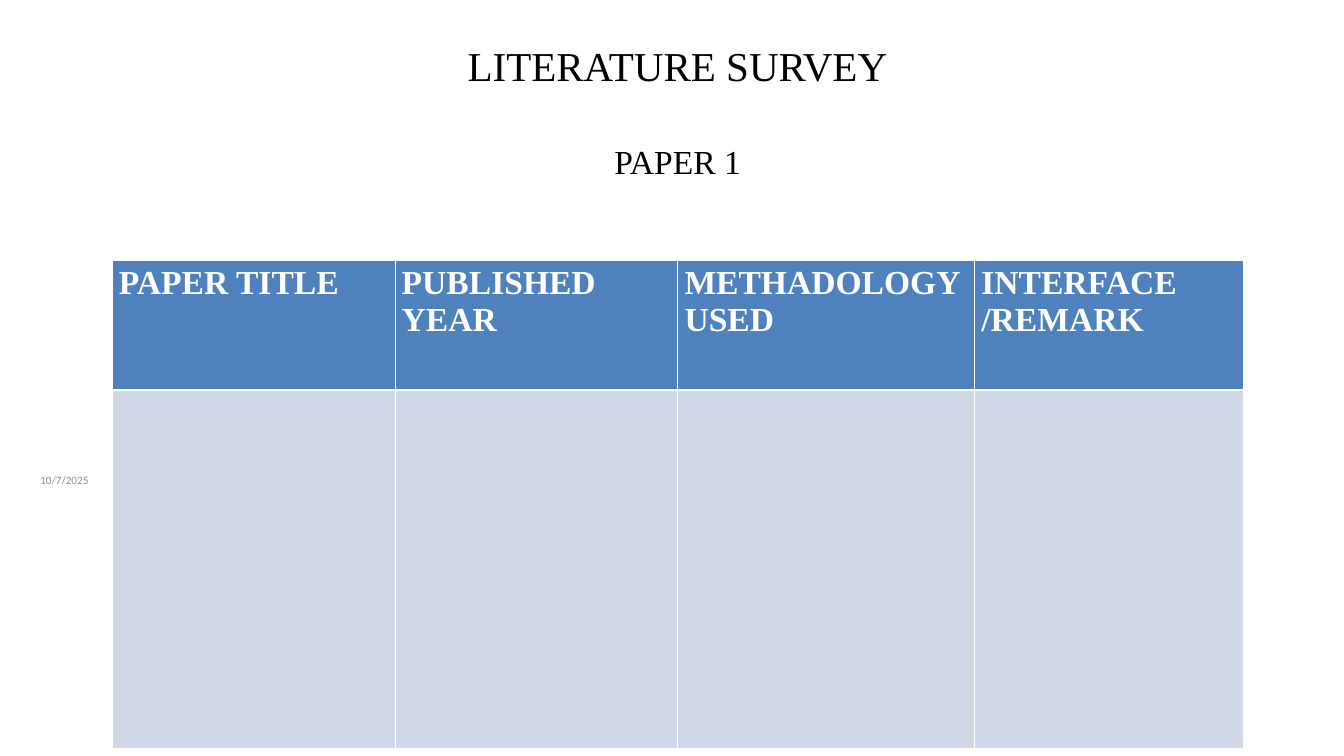
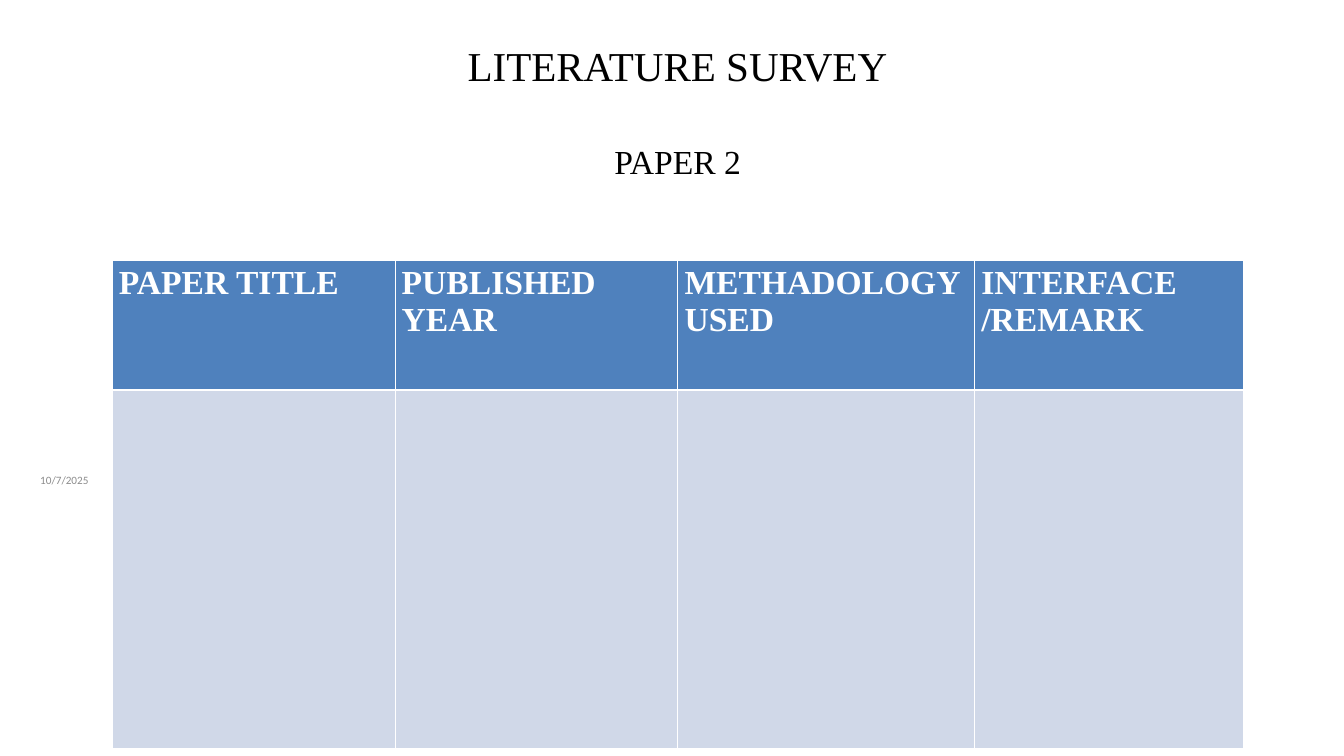
import pptx
import pptx.dml.color
import pptx.enum.text
import pptx.oxml.ns
import pptx.util
from lxml import etree

Cm = pptx.util.Cm
Pt = pptx.util.Pt
PP_ALIGN = pptx.enum.text.PP_ALIGN
MSO_ANCHOR = pptx.enum.text.MSO_ANCHOR
qn = pptx.oxml.ns.qn

SERIF = "Times New Roman"
BLACK, WHITE, GREY = "000000", "FFFFFF", "8C8C8C"
HEADER_FILL, BODY_FILL = "4F81BD", "D0D8E8"
LEFT, WIDTH = Cm(4.24), Cm(42.75)
HEADERS = ["PAPER TITLE", "PUBLISHED YEAR", "METHADOLOGY USED", "INTERFACE /REMARK"]
COL_WIDTHS = [10.69, 10.69, 11.22, 10.15]
ROW_HEIGHTS = [4.88, 13.54]


def set_font(p, name, size, color, bold=False):
    p.font.name = name
    p.font.size = Pt(size)
    p.font.bold = bold
    p.font.color.rgb = pptx.dml.color.RGBColor.from_string(color)


def style_cell(cell, fill, bottom_width):
    tcPr = cell._tc.get_or_add_tcPr()
    for side, width in [("lnL", 1), ("lnR", 1), ("lnT", 1), ("lnB", bottom_width)]:
        ln = etree.SubElement(tcPr, qn(f"a:{side}"), w=str(Pt(width)))
        solid = etree.SubElement(ln, qn("a:solidFill"))
        etree.SubElement(solid, qn("a:srgbClr"), val=WHITE)
    cell.fill.solid()
    cell.fill.fore_color.rgb = pptx.dml.color.RGBColor.from_string(fill)


prs = pptx.Presentation()
prs.slide_width = Cm(50.8)
prs.slide_height = Cm(28.58)

for paper in ["PAPER 1", "PAPER 2"]:
    s = prs.slides.add_slide(prs.slide_layouts[5])

    title = s.shapes.title
    title.left, title.top, title.width, title.height = LEFT, Cm(0.76), WIDTH, Cm(8.43)
    tf = title.text_frame
    tf.auto_size = pptx.enum.text.MSO_AUTO_SIZE.NONE
    tf.vertical_anchor = MSO_ANCHOR.TOP
    tf.margin_top = Cm(0.78)
    tf.text = f"LITERATURE SURVEY\n{paper}"
    for p, size in zip(tf.paragraphs, [44, 36]):
        p.alignment = PP_ALIGN.CENTER
        set_font(p, SERIF, size, BLACK)
    tf.paragraphs[1].space_before = Pt(55)

    date = s.shapes.add_textbox(Cm(1.27), Cm(17.65), Cm(5.92), Cm(1.02))
    tf = date.text_frame
    tf.word_wrap = True
    tf.vertical_anchor = MSO_ANCHOR.MIDDLE
    tf.text = "10/7/2025"
    set_font(tf.paragraphs[0], "Calibri", 12, GREY)

    table = s.shapes.add_table(2, 4, LEFT, Cm(9.86), WIDTH, Cm(sum(ROW_HEIGHTS))).table
    for row, height in zip(table.rows, ROW_HEIGHTS):
        row.height = Cm(height)
    for i, (header, width) in enumerate(zip(HEADERS, COL_WIDTHS)):
        table.columns[i].width = Cm(width)
        cell = table.cell(0, i)
        cell.text = header
        set_font(cell.text_frame.paragraphs[0], SERIF, 36, WHITE, bold=True)
        style_cell(cell, HEADER_FILL, 3)
        style_cell(table.cell(1, i), BODY_FILL, 1)

prs.save("out.pptx")
